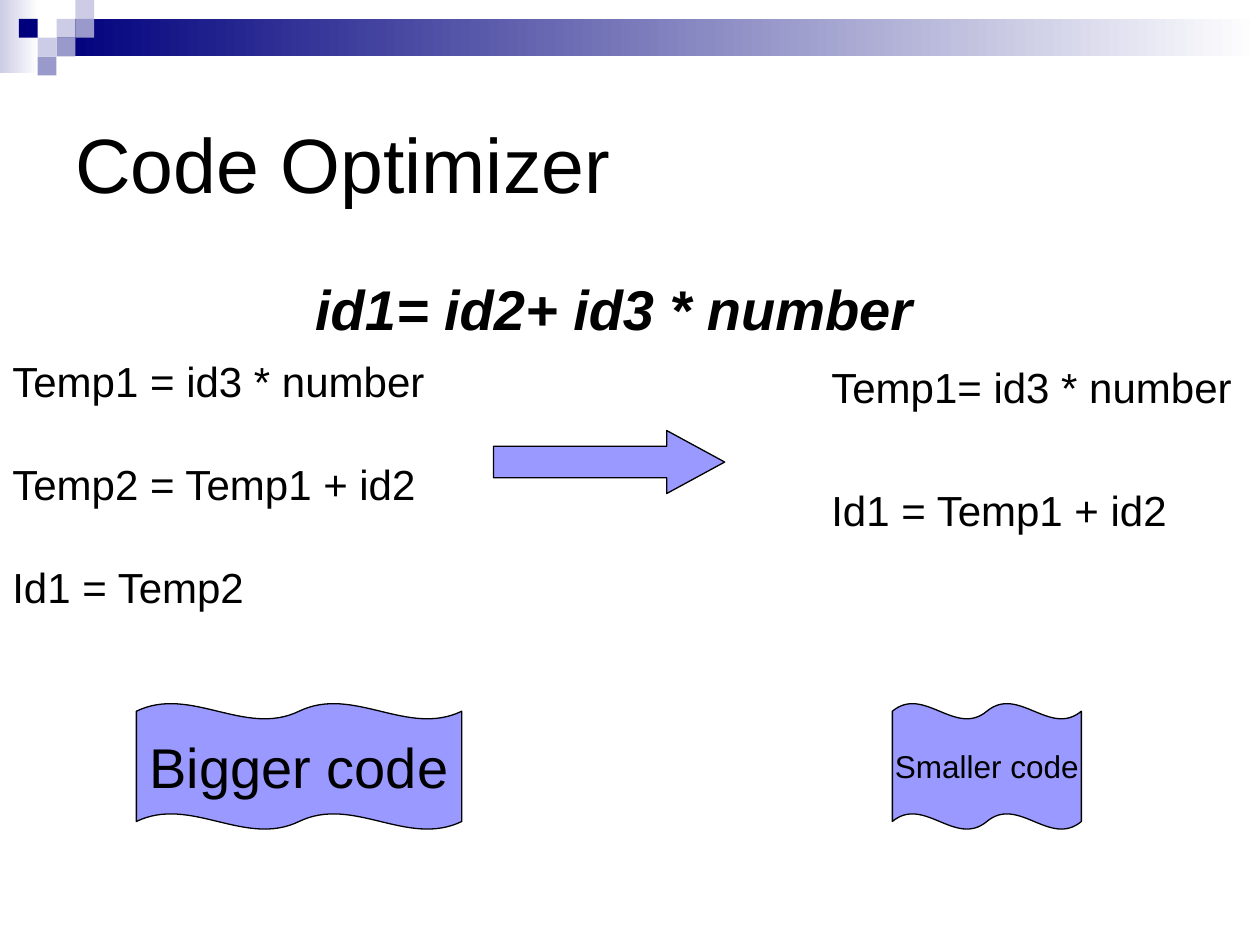
"""Build the Code Optimizer slide."""
from dataclasses import dataclass

from pptx import Presentation
from pptx.dml.color import RGBColor
from pptx.enum.shapes import MSO_SHAPE
from pptx.enum.text import MSO_ANCHOR, PP_ALIGN
from pptx.util import Cm, Pt


@dataclass(frozen=True)
class Theme:
    font: str = "Arial"
    black: str = "000000"
    white: str = "FFFFFF"
    navy: str = "00007D"
    pale: str = "CCCCE6"
    mid: str = "9999CC"
    accent: str = "9999FF"
    title: int = 44
    large: int = 32
    body: int = 24
    small: int = 18
    line: float = 0.75


THEME = Theme()


def color(value):
    return RGBColor.from_string(value)


def set_attrs(obj, values):
    for name, value in values.items():
        setattr(obj, name, value)


def add_shape(s, kind, box, fill, outlined=False):
    sp = s.shapes.add_shape(kind, *map(Cm, box))
    sp.shadow.inherit = False
    if isinstance(fill, tuple):
        sp.fill.gradient()
        sp.fill.gradient_angle = 0
        for stop, value in zip(sp.fill.gradient_stops, fill):
            stop.color.rgb = color(value)
    else:
        sp.fill.solid()
        sp.fill.fore_color.rgb = color(fill)
    if outlined:
        sp.line.color.rgb = color(THEME.black)
        sp.line.width = Pt(THEME.line)
    else:
        sp.line.fill.background()
    return sp


def write(sp, lines, size, align=PP_ALIGN.LEFT, anchor=MSO_ANCHOR.TOP,
          wrap=True, gap=0, **style):
    tf = sp.text_frame
    set_attrs(tf, {"word_wrap": wrap, "vertical_anchor": anchor})
    for i, line in enumerate(lines):
        p = tf.paragraphs[0] if i == 0 else tf.add_paragraph()
        p.alignment = align
        if i:
            p.space_before = Pt(gap)
        r = p.add_run()
        r.text = line
        set_attrs(r.font, {"name": THEME.font, "size": Pt(size), **style})
        r.font.color.rgb = color(THEME.black)


def add_text(s, box, lines, size, **options):
    write(s.shapes.add_textbox(*map(Cm, box)), lines, size, **options)


def add_wave(s, left, width, label, size):
    sp = add_shape(s, MSO_SHAPE.DOUBLE_WAVE, (left, 14.18, width, 2.54),
                   THEME.accent, outlined=True)
    write(sp, [label], size, align=PP_ALIGN.CENTER,
          anchor=MSO_ANCHOR.MIDDLE, wrap=False)


def add_banner(s):
    rect, side = MSO_SHAPE.RECTANGLE, 0.38
    add_shape(s, rect, (0, 0, 0.78, 1.48), (THEME.pale, THEME.white))
    add_shape(s, rect, (1.14, side, 24.26, 0.76), (THEME.navy, THEME.white))
    for col, row, fill in [
        (3, 1, THEME.pale), (4, 0, THEME.pale), (4, 1, THEME.mid),
        (2, 2, THEME.pale), (1, 1, THEME.navy), (3, 2, THEME.mid),
        (2, 3, THEME.mid),
    ]:
        add_shape(s, rect, (col * side, row * side, side, side), fill)


def main():
    prs = Presentation()
    set_attrs(prs, {"slide_width": Cm(25.4), "slide_height": Cm(19.05)})
    s = prs.slides.add_slide(prs.slide_layouts[6])

    add_banner(s)
    add_text(s, (1.27, 1.38, 22.86, 3.81), ["Code Optimizer"], THEME.title,
             anchor=MSO_ANCHOR.MIDDLE)
    add_text(s, (1.27, 5.4, 22.23, 2.7), ["id1= id2+ id3 * number"],
             THEME.large, align=PP_ALIGN.CENTER, bold=True, italic=True)
    add_text(s, (16.51, 7.17, 11.22, 7.06),
             ["Temp1= id3 * number", "Id1 = Temp1 + id2"],
             THEME.body, gap=41.5)
    add_text(s, (0, 7.04, 10.6, 6.88),
             ["Temp1 = id3 * number", "Temp2 = Temp1 + id2", "Id1 = Temp2"],
             THEME.body, gap=30)

    arrow = add_shape(s, MSO_SHAPE.RIGHT_ARROW, (9.95, 8.68, 4.66, 1.27),
                      THEME.accent, outlined=True)
    arrow.adjustments[1] = 0.92
    add_wave(s, 2.75, 6.56, "Bigger code", THEME.large)
    add_wave(s, 17.99, 3.81, "Smaller code", THEME.small)

    prs.save("out.pptx")


if __name__ == "__main__":
    main()
